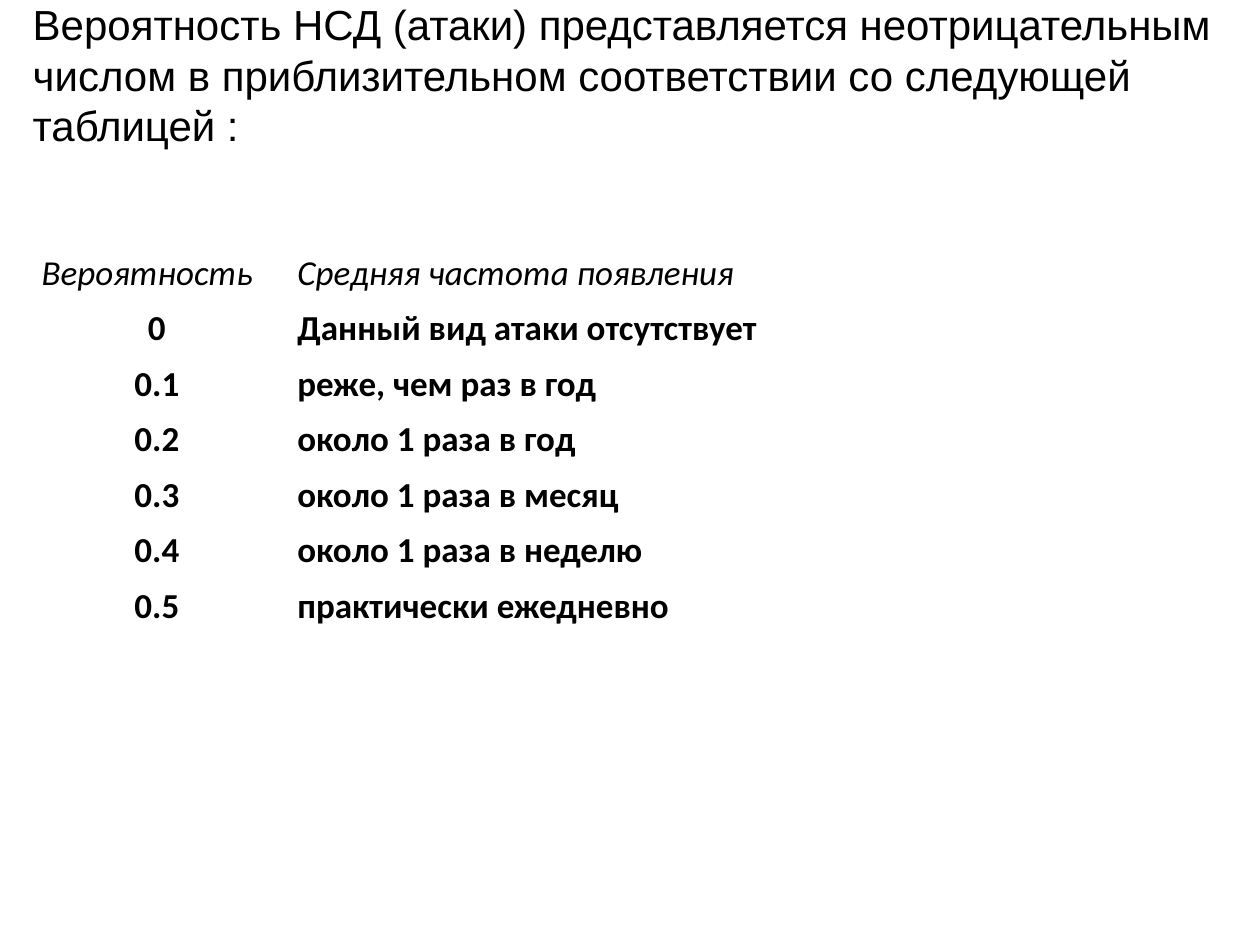
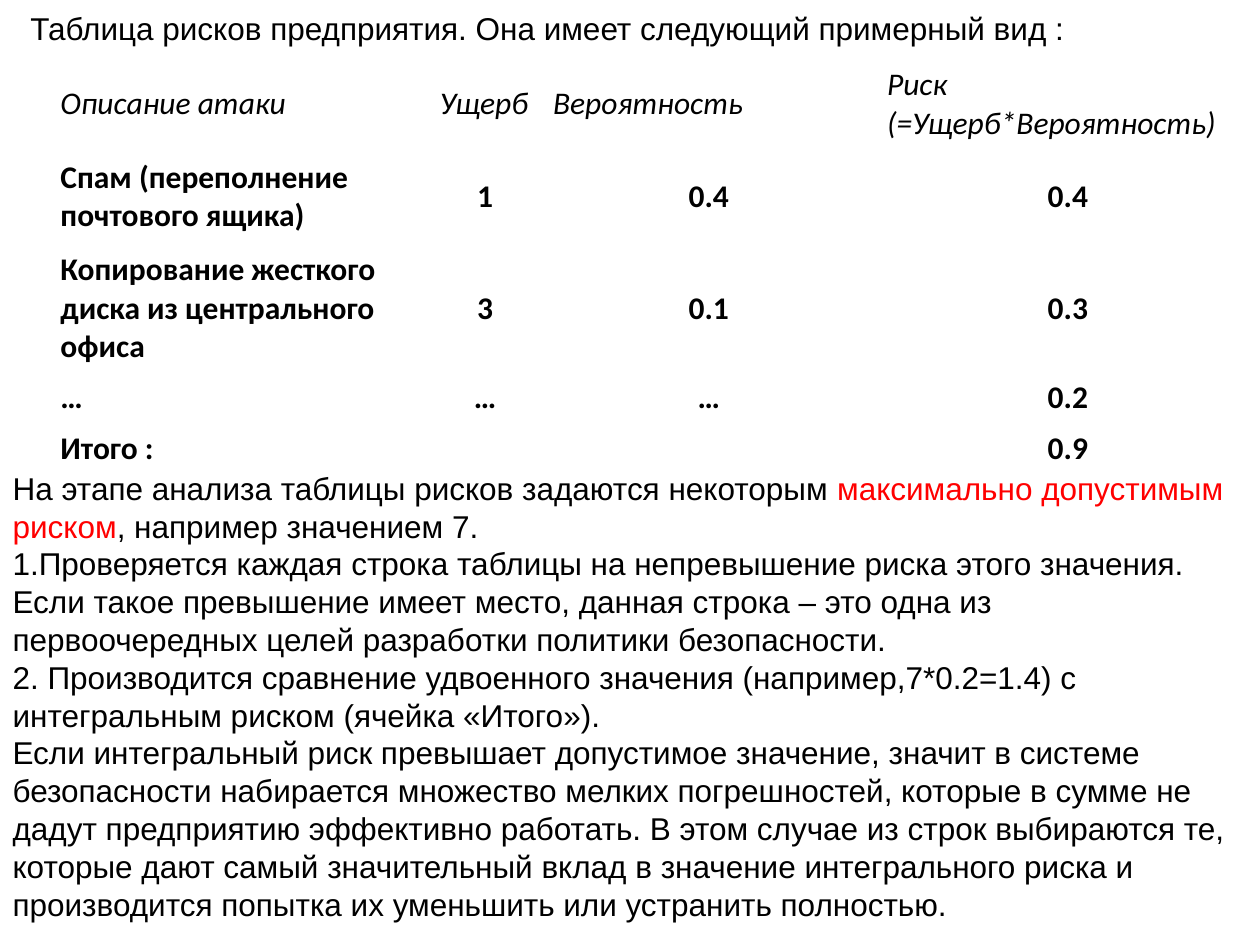
import dataclasses

import pptx
import pptx.dml.color
import pptx.enum.text
import pptx.oxml
import pptx.util

Inches = pptx.util.Inches
Anchor = pptx.enum.text.MSO_ANCHOR
Align = pptx.enum.text.PP_ALIGN


@dataclasses.dataclass(frozen=True)
class Theme:
    text: str = "000000"
    accent: str = "FF0000"
    text_font: str = "Arial"
    table_font: str = "Calibri"
    large: int = 24
    medium: int = 20
    small: int = 18


THEME = Theme()
TITLE_AND_BODY, TITLE_ONLY = 1, 5

# Slide content
PROBABILITY_TITLE = ("Вероятность НСД (атаки) представляется неотрицательным числом "
                     "в приблизительном соответствии со следующей таблицей :")
PROBABILITY_ROWS = [
    ("Вероятность", "Средняя частота появления"),
    ("0", "Данный вид атаки отсутствует"),
    ("0.1", "реже, чем раз в год"),
    ("0.2", "около 1 раза в год"),
    ("0.3", "около 1 раза в месяц"),
    ("0.4", "около 1 раза в неделю"),
    ("0.5", "практически ежедневно"),
]

RISK_TITLE = "Таблица рисков предприятия. Она имеет следующий примерный вид :"
RISK_ROWS = [
    ("Описание атаки", "Ущерб", "Вероятность", "Риск (=Ущерб*Вероятность)"),
    ("Спам (переполнение почтового ящика)", "1", "0.4", "0.4"),
    ("Копирование жесткого диска из центрального офиса", "3", "0.1", "0.3"),
    ("…", "…", "…", "0.2"),
    ("Итого : ", "", "", "0.9"),
]
# Each paragraph is a list of (text, colour) spans
RISK_ANALYSIS = [
    [("На этапе анализа таблицы рисков задаются некоторым ", THEME.text),
     ("максимально допустимым риском", THEME.accent),
     (", например значением 7.", THEME.text)],
    [("1.Проверяется каждая строка таблицы на непревышение риска этого значения. "
      "Если такое превышение имеет место, данная строка – это одна из первоочередных "
      "целей разработки политики безопасности.", THEME.text)],
    [("2. Производится сравнение удвоенного значения (например,7*0.2=1.4) "
      "с интегральным риском (ячейка «Итого»).", THEME.text)],
    [("Если интегральный риск превышает допустимое значение, значит в системе "
      "безопасности набирается множество мелких погрешностей, которые в сумме не дадут "
      "предприятию эффективно работать. В этом случае из строк выбираются те, которые "
      "дают самый значительный вклад в значение интегрального риска и производится "
      "попытка их уменьшить или устранить полностью.", THEME.text)],
]


def add_span(para, text, *, size, font=THEME.text_font, color=THEME.text,
             bold=False, italic=False):
    span = para.add_run()
    span.text = text
    span.font.name = font
    span.font.size = pptx.util.Pt(size)
    span.font.bold = bold
    span.font.italic = italic
    span.font.color.rgb = pptx.dml.color.RGBColor.from_string(color)


def place(holder, box, anchor):
    """Move a placeholder to box and return its prepared text frame."""
    holder.left, holder.top, holder.width, holder.height = map(Inches, box)
    frame = holder.text_frame
    frame.word_wrap = True
    frame.auto_size = pptx.enum.text.MSO_AUTO_SIZE.NONE
    frame.vertical_anchor = anchor
    return frame


def fill_title(page, box, text, *, size, anchor):
    para = place(page.shapes.title, box, anchor).paragraphs[0]
    para.alignment = Align.LEFT
    add_span(para, text, size=size)


def fill_body(page, box, paragraphs, *, size):
    frame = place(page.placeholders[1], box, Anchor.TOP)
    for index, spans in enumerate(paragraphs):
        para = frame.add_paragraph() if index else frame.paragraphs[0]
        para.space_before = pptx.util.Pt(0)
        # Plain paragraphs: no bullet and no hanging indent
        settings = para._p.get_or_add_pPr()
        settings.set("marL", "0")
        settings.set("indent", "0")
        settings.append(pptx.oxml.parse_xml(
            '<a:buNone xmlns:a="http://schemas.openxmlformats.org/drawingml/2006/main"/>'))
        for text, color in spans:
            add_span(para, text, size=size, color=color)


def add_grid(page, origin, rows, *, widths, heights, centred, size, margin):
    """Add a plain table: italic header row, bold rows below it."""
    left, top = origin
    table = page.shapes.add_table(
        len(rows), len(widths), Inches(left), Inches(top),
        Inches(sum(widths)), Inches(sum(heights))).table
    table.first_row = table.horz_banding = False
    for column, width in zip(table.columns, widths):
        column.width = Inches(width)
    for row, height in zip(table.rows, heights):
        row.height = Inches(height)

    for row_index, texts in enumerate(rows):
        header = row_index == 0
        for column_index, text in enumerate(texts):
            cell = table.cell(row_index, column_index)
            cell.fill.background()
            cell.vertical_anchor = Anchor.MIDDLE
            cell.margin_left = cell.margin_right = Inches(margin)
            if not text:
                continue
            para = cell.text_frame.paragraphs[0]
            centre = not header and column_index in centred
            para.alignment = Align.CENTER if centre else Align.LEFT
            add_span(para, text, size=size, font=THEME.table_font,
                     bold=not header, italic=header)
    return table


def build_probability_page(deck):
    page = deck.slides.add_slide(deck.slide_layouts[TITLE_ONLY])
    fill_title(page, (0.16, -0.06, 9.61, 1.3), PROBABILITY_TITLE,
               size=THEME.large, anchor=Anchor.MIDDLE)
    add_grid(page, (0.23, 1.95), PROBABILITY_ROWS, widths=(2.03, 7.27),
             heights=[0.44] * len(PROBABILITY_ROWS), centred={0},
             size=THEME.medium, margin=0.1)


def build_risk_page(deck):
    page = deck.slides.add_slide(deck.slide_layouts[TITLE_AND_BODY])
    fill_title(page, (0.14, 0.02, 8.6, 1), RISK_TITLE,
               size=THEME.small, anchor=Anchor.TOP)
    table = add_grid(page, (0.39, 0.47), RISK_ROWS, widths=(3.01, 0.9, 2.65, 3.05),
                     heights=(0.69, 0.76, 0.99, 0.39, 0.39), centred={1, 2, 3},
                     size=THEME.small, margin=0.09)
    # The total's label spans every column but the last
    total = len(RISK_ROWS) - 1
    table.cell(total, 0).merge(table.cell(total, 2))
    fill_body(page, (0, 3.67, 9.84, 3.7), RISK_ANALYSIS, size=THEME.small)


def main():
    deck = pptx.Presentation()
    deck.slide_width, deck.slide_height = Inches(10), Inches(7.5)
    build_probability_page(deck)
    build_risk_page(deck)
    deck.save("out.pptx")


if __name__ == "__main__":
    main()
